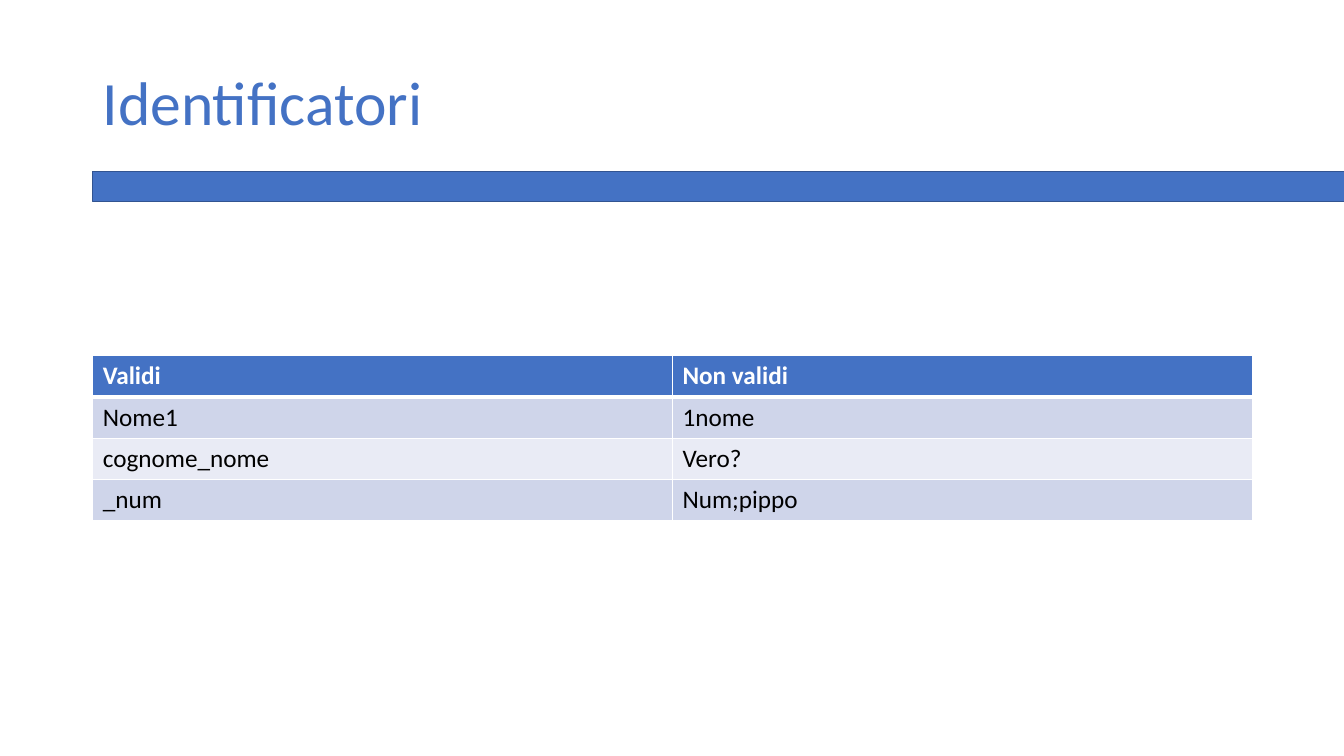
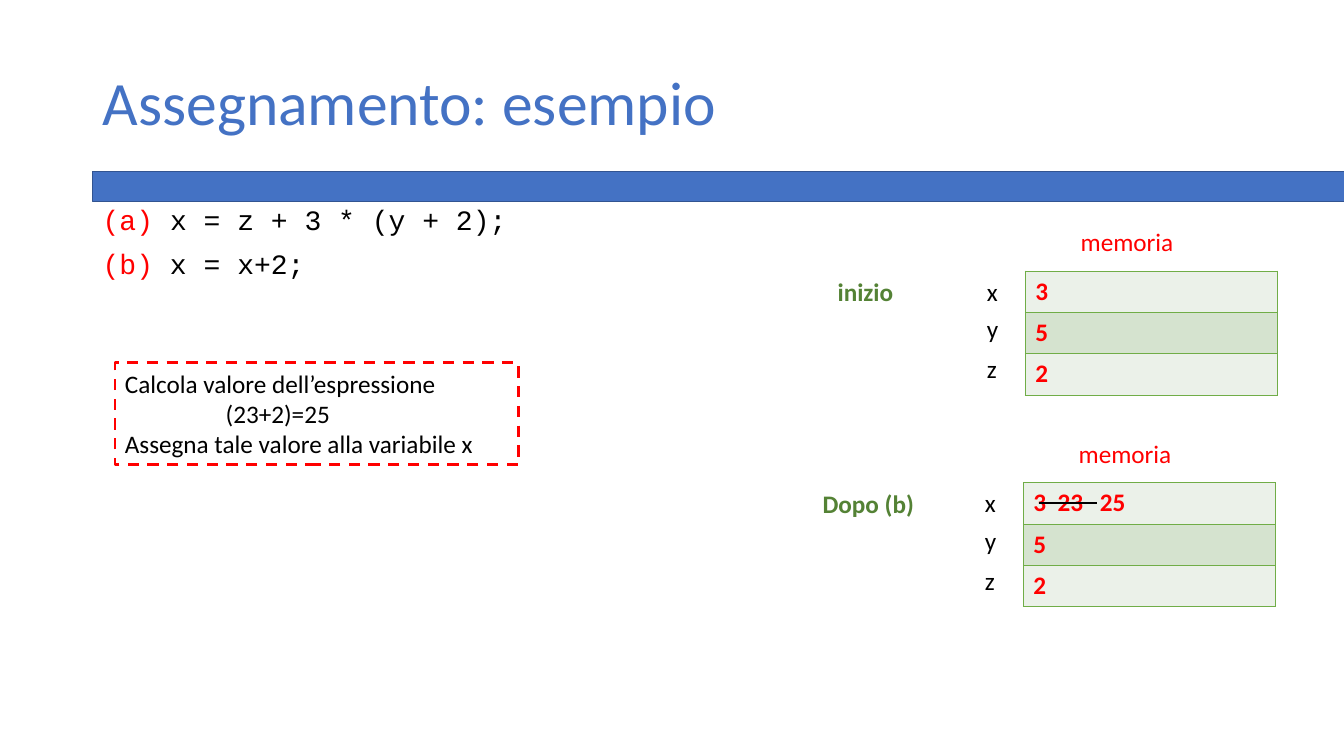
from pptx import Presentation
from pptx.dml.color import RGBColor as RGB
from pptx.enum.dml import MSO_LINE as Dash
from pptx.enum.shapes import MSO_CONNECTOR as Conn, MSO_SHAPE as Shape
from pptx.enum.text import MSO_ANCHOR as Anchor, PP_ALIGN as Align
from pptx.oxml.ns import qn
from pptx.util import Inches, Pt
from lxml.etree import SubElement as Sub

BLUE, EDGE, RED, GREEN = "4472C4", "325491", "FF0000", "548235"
BLACK, WHITE, LIME = "000000", "FFFFFF", "70AD47"
ROW = 0.41


def tint(item, color):
    """Colour a font or a fill with a hex string."""
    if hasattr(item, "solid"):
        item.solid()
        item.fore_color.rgb = RGB.from_string(color)
    else:
        item.color.rgb = RGB.from_string(color)


def stops(para, tabs):
    """Add left tab stops, given in inches from the text edge."""
    if tabs:
        tab_list = Sub(para._p.get_or_add_pPr(), qn("a:tabLst"))
        for pos in tabs:
            Sub(tab_list, qn("a:tab"), pos=str(Inches(pos)), algn="l")


def border(cell, color, base=1):
    """Rule all four sides of a cell; base is the bottom width in points."""
    props = cell._tc.get_or_add_tcPr()
    for side, width in zip("LRTB", (1, 1, 1, base)):
        line = Sub(props, qn(f"a:ln{side}"), w=str(Pt(width)))
        Sub(Sub(line, qn("a:solidFill")), qn("a:srgbClr"), val=color)


class Deck:
    font = "Calibri"
    left, wide = 0.92, 11.5

    def __init__(self):
        self.prs = Presentation()
        self.prs.slide_width, self.prs.slide_height = Inches(13.33), Inches(7.5)
        self.slide = None

    def page(self, title):
        """Start a slide with its band and title."""
        self.slide = self.prs.slides.add_slide(self.prs.slide_layouts[6])
        band = self.rect((self.left, 1.7, 12.42, 0.3), EDGE, 1)
        tint(band.fill, BLUE)
        self.text((self.left, 0.4, self.wide, 1.3), [title], BLUE, 44,
                  anchor=Anchor.MIDDLE, lead=0.9)

    def rect(self, at, color, width):
        box = self.slide.shapes.add_shape(Shape.RECTANGLE, *map(Inches, at))
        box.shadow.inherit = False
        box.fill.background()
        tint(box.line, color)
        box.line.width = Pt(width)
        return box

    def style(self, para, color, size=18, bold=False, font=None):
        para.alignment = Align.LEFT
        face = para.font
        face.name, face.size, face.bold = font or self.font, Pt(size), bold
        tint(face, color)

    def fill(self, frame, paras, color=BLACK, size=18, bold=False, font=None,
             anchor=Anchor.TOP, lead=None, gap=0, tabs=()):
        """Write paragraphs, each a string or a list of (text, colour) runs."""
        frame.word_wrap = True
        frame.vertical_anchor = anchor
        for i, body in enumerate(paras):
            para = frame.add_paragraph() if i else frame.paragraphs[0]
            if lead:
                para.line_spacing = lead
            if i and gap:
                para.space_before = Pt(gap)
            stops(para, tabs)
            self.style(para, color, size, bold, font)
            runs = [(body, None)] if isinstance(body, str) else body
            for words, hue in runs:
                run = para.add_run()
                run.text = words
                if hue:
                    tint(run.font, hue)

    def text(self, at, paras, color=BLACK, size=18, **look):
        box = self.slide.shapes.add_textbox(*map(Inches, at))
        self.fill(box.text_frame, paras, color, size, **look)

    def note(self, at, paras, color, **look):
        """Add a dashed frame with text."""
        box = self.rect(at, color, 2)
        box.line.dash_style = Dash.DASH
        self.fill(box.text_frame, paras, **look)

    def table(self, left, top, width, rows, fills, rule, color,
              bold=False, head=None, tabs=()):
        """Add a table with cycling row fills; head is the fill of row 0."""
        cols = len(rows[0])
        size = map(Inches, (left, top, width, ROW * len(rows)))
        grid = self.slide.shapes.add_table(len(rows), cols, *size).table
        grid.first_row = grid.horz_banding = False
        for i, row in enumerate(rows):
            top_row = bool(head) and i == 0
            shade = head if top_row else fills[(i - bool(head)) % len(fills)]
            for j, words in enumerate(row):
                cell = grid.cell(i, j)
                border(cell, rule, 3 if top_row else 1)
                tint(cell.fill, shade)
                para = cell.text_frame.paragraphs[0]
                if "\t" in words:
                    stops(para, tabs)
                self.style(para, WHITE if top_row else color, bold=bold or top_row)
                para.add_run().text = words

    def memory(self, left, top, values, tabs=()):
        """Show the variables x, y and z with their memory cells."""
        self.table(left, top, 2.5, [[v] for v in values], ("EBF1E9", "D5E3CF"),
                   LIME, RED, bold=True, tabs=tabs)
        self.text((left + 0.45, top - 0.49, 1.36, 0.4), ["memoria"], RED)
        for name, drop in zip("xyz", (0, 0.37, 0.77)):
            self.text((left - 0.48, top + drop, 0.38, 0.4), [name])

    def line(self, start, end, color, width):
        ends = map(Inches, (*start, *end))
        link = self.slide.shapes.add_connector(Conn.STRAIGHT, *ends)
        tint(link.line, color)
        link.line.width = Pt(width)
        Sub(link._element.spPr, qn("a:effectLst"))


def names(deck):
    deck.page("Identificatori")
    rows = [("Validi", "Non validi"), ("Nome1", "1nome"),
            ("cognome_nome", "Vero?"), ("_num", "Num;pippo")]
    deck.table(deck.left, 3.53, deck.wide, rows, ("CFD5EA", "E9EBF5"),
               WHITE, BLACK, head=BLUE)


def assign(deck):
    deck.page("Assegnamento: esempio")
    code = [[("(a) ", RED), ("x = z + 3 * (y + 2);", BLACK)],
            [("(b)", RED), (" x = x+2;", BLACK)]]
    deck.text((deck.left, 2, deck.wide, 1.3), code, size=20,
              font="Courier New", lead=0.9, gap=10)
    deck.note((1.14, 3.6, 4, 1.01),
              ["Calcola valore dell’espressione", "\t(23+2)=25",
               "Assegna tale valore alla variabile x"], RED, tabs=(1,))
    deck.memory(10.17, 2.69, ("3", "5", "2"))
    deck.memory(10.15, 4.79, ("3\t23\t25", "5", "2"), tabs=(0.24, 0.66))
    deck.text((8.21, 2.69, 1.07, 0.4), ["inizio"], GREEN, bold=True)
    deck.text((8.06, 4.8, 1.22, 0.4), ["Dopo (b)"], GREEN, bold=True)
    deck.line((10.31, 4.99), (10.88, 4.99), BLACK, 2)


def main():
    deck = Deck()
    names(deck)
    assign(deck)
    deck.prs.save("out.pptx")


if __name__ == "__main__":
    main()
